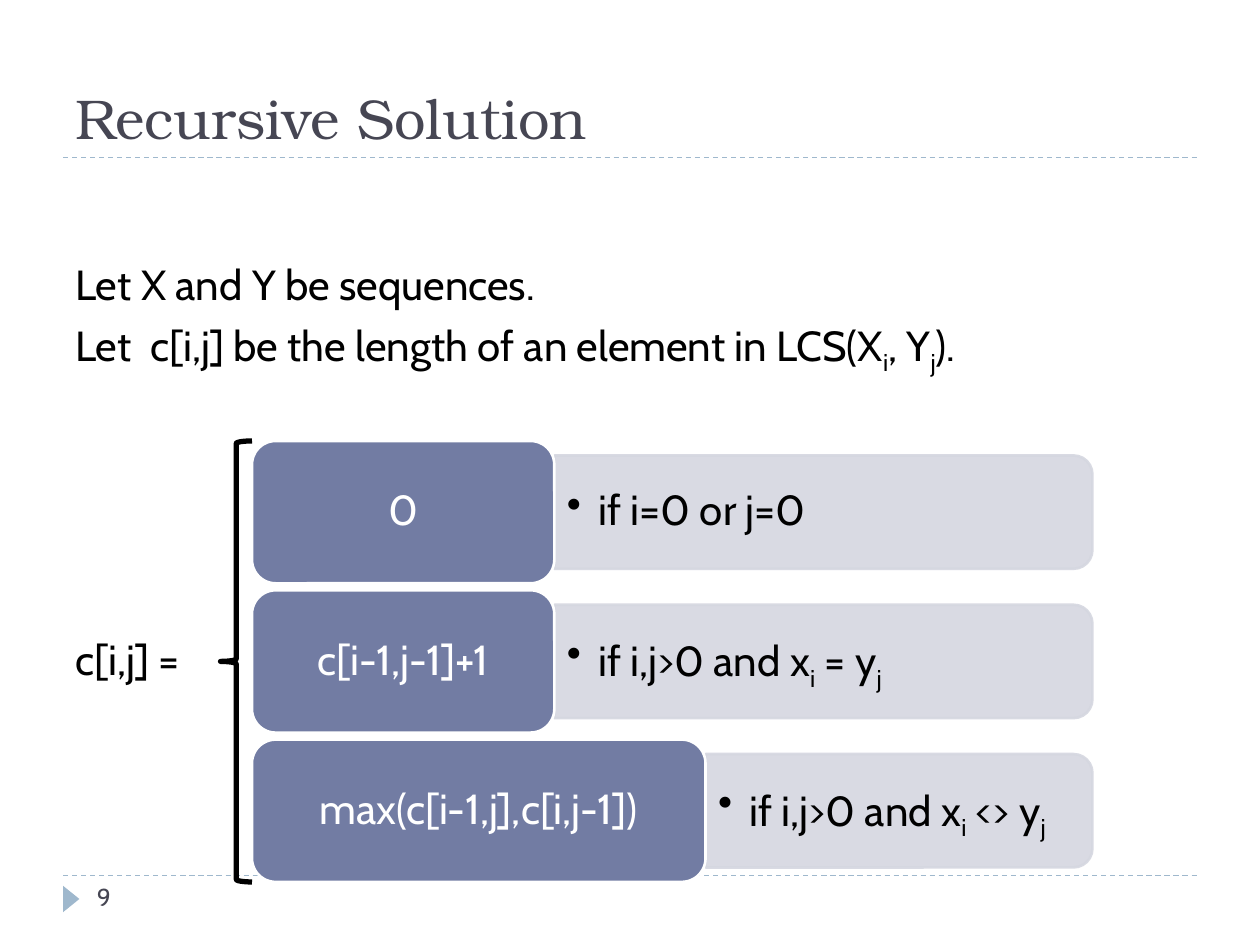
"""Build the slide that defines the recursive LCS length."""
from lxml import etree
from pptx import Presentation
from pptx import util as u
from pptx.dml.color import RGBColor
from pptx.enum import dml, shapes, text
from pptx.oxml.ns import qn

COLORS = {"title": "464653", "text": "000000", "white": "FFFFFF",
          "pill": "727CA3", "panel": "D5D7E0", "rule": "9FB8CD"}
BODY, HEAD = "Cabin", "TeX Gyre Bonum"
CASES = [("0", "if i=0 or j=0", 2.4),
         ("c[i-1,j-1]+1", "if i,j>0 and x|i| = y|j|", 2.4),
         ("max(c[i-1,j],c[i,j-1])", "if i,j>0 and x|i| <> y|j|", 3.6)]
LEFT, TOP, RIGHT = 2, 3.5, 8.67
PILL_H, PANEL_H, PITCH = 1.13, 0.9, 1.185


class SlideBuilder:
    """Style and current slide, with one method per kind of element."""

    def __init__(self, prs):
        self.s = prs.slides.add_slide(prs.slide_layouts[5])

    def color(self, name):
        return RGBColor.from_string(COLORS[name])

    def add_runs(self, p, marked, size=24, color="text", font=BODY):
        """Fill a paragraph; parts between bars become subscripts."""
        for i, part in enumerate(marked.split("|")):
            if not part:
                continue
            r = p.add_run()
            r.text = part
            r.font.size, r.font.name = u.Pt(size), font
            r.font.color.rgb = self.color(color)
            if i % 2:
                r._r.get_or_add_rPr().set("baseline", "-25000")

    def title(self, words):
        sp = self.s.shapes.title
        sp.left, sp.top, sp.width, sp.height = map(u.Inches, (0.5, 0.17, 9, 1.08))
        tf = sp.text_frame
        tf.auto_size = text.MSO_AUTO_SIZE.NONE
        tf.vertical_anchor = text.MSO_ANCHOR.BOTTOM
        tf.paragraphs[0].alignment = text.PP_ALIGN.LEFT
        self.add_runs(tf.paragraphs[0], words, 32, "title", HEAD)

    def text_box(self, box, lines, gaps=(0,), size=24, color="text"):
        tf = self.s.shapes.add_textbox(*map(u.Inches, box)).text_frame
        tf.word_wrap = True
        for i, (line, gap) in enumerate(zip(lines, gaps)):
            p = tf.add_paragraph() if i else tf.paragraphs[0]
            p.space_before = u.Pt(gap)
            self.add_runs(p, line, size, color)
        return tf

    def rule(self, y):
        ends = map(u.Inches, (0.5, y, 9.5, y))
        sp = self.s.shapes.add_connector(shapes.MSO_CONNECTOR.STRAIGHT, *ends)
        sp.line.color.rgb = self.color("rule")
        sp.line.width = u.Pt(0.75)
        sp.line.dash_style = dml.MSO_LINE.DASH
        etree.SubElement(sp._element.spPr, qn("a:effectLst"))

    def shape(self, kind, box, fill=None, line=None, width=1.5, rotation=0):
        sp = self.s.shapes.add_shape(kind, *map(u.Inches, box))
        sp.shadow.inherit = False
        sp.rotation = rotation
        if fill:
            sp.fill.solid()
            sp.fill.fore_color.rgb = self.color(fill)
        else:
            sp.fill.background()
        if line:
            sp.line.color.rgb = self.color(line)
            sp.line.width = u.Pt(width)
        else:
            sp.line.fill.background()
        return sp

    def panel(self, left, mid):
        """Draw a case background, rounded at its right end."""
        length = RIGHT - left
        box = ((left + RIGHT - PANEL_H) / 2, mid - length / 2, PANEL_H, length)
        sp = self.shape(shapes.MSO_SHAPE.ROUND_2_SAME_RECTANGLE, box,
                        "panel", "panel", rotation=90)
        for clr in sp._element.spPr.iter(qn("a:srgbClr")):
            etree.SubElement(clr, qn("a:alpha"), val="90000")

    def condition(self, left, mid, words):
        tf = self.text_box((left, mid - 0.4, RIGHT - left - 0.05, 0.8), [words])
        tf.vertical_anchor = text.MSO_ANCHOR.MIDDLE
        p = tf.paragraphs[0]
        p.line_spacing = 0.9
        pPr = p._p.get_or_add_pPr()
        pPr.set("marL", str(u.Inches(0.25)))
        pPr.set("indent", str(-u.Inches(0.25)))
        etree.SubElement(pPr, qn("a:buChar"), char="•")

    def pill(self, top, width, words):
        sp = self.shape(shapes.MSO_SHAPE.ROUNDED_RECTANGLE,
                        (LEFT, top, width, PILL_H), "pill", "white")
        tf = sp.text_frame
        tf.word_wrap = True
        tf.vertical_anchor = text.MSO_ANCHOR.MIDDLE
        p = tf.paragraphs[0]
        p.alignment, p.line_spacing = text.PP_ALIGN.CENTER, 0.9
        self.add_runs(p, words, color="white")


def main():
    prs = Presentation()
    prs.slide_width, prs.slide_height = u.Inches(10), u.Inches(7.5)
    b = SlideBuilder(prs)
    for y in (6.95, 1.25):
        b.rule(y)
    b.shape(shapes.MSO_SHAPE.ISOSCELES_TRIANGLE, (0.46, 7.07, 0.21, 0.13),
            "rule", rotation=90)
    b.title("Recursive Solution")
    b.text_box((0.5, 2, 8.94, 4.56),
               ["Let X and Y be sequences.",
                "Let  c[i,j] be the length of an element in LCS(X|i|, Y|j|).",
                "c[i,j] ="], (6, 6, 147))
    b.text_box((0.67, 6.95, 2.17, 0.4), ["9"], size=14, color="title")
    for i, (value, condition, width) in enumerate(CASES):
        top = TOP + i * PITCH
        mid = top + PILL_H / 2
        b.panel(LEFT + width, mid)
        b.condition(LEFT + width, mid, condition)
        b.pill(top, width, value)
    brace = b.shape(shapes.MSO_SHAPE.LEFT_BRACE, (1.75, TOP, 0.25, 3.5),
                    line="text", width=3)
    brace.adjustments[0] = 0.08
    prs.save("out.pptx")


if __name__ == "__main__":
    main()
